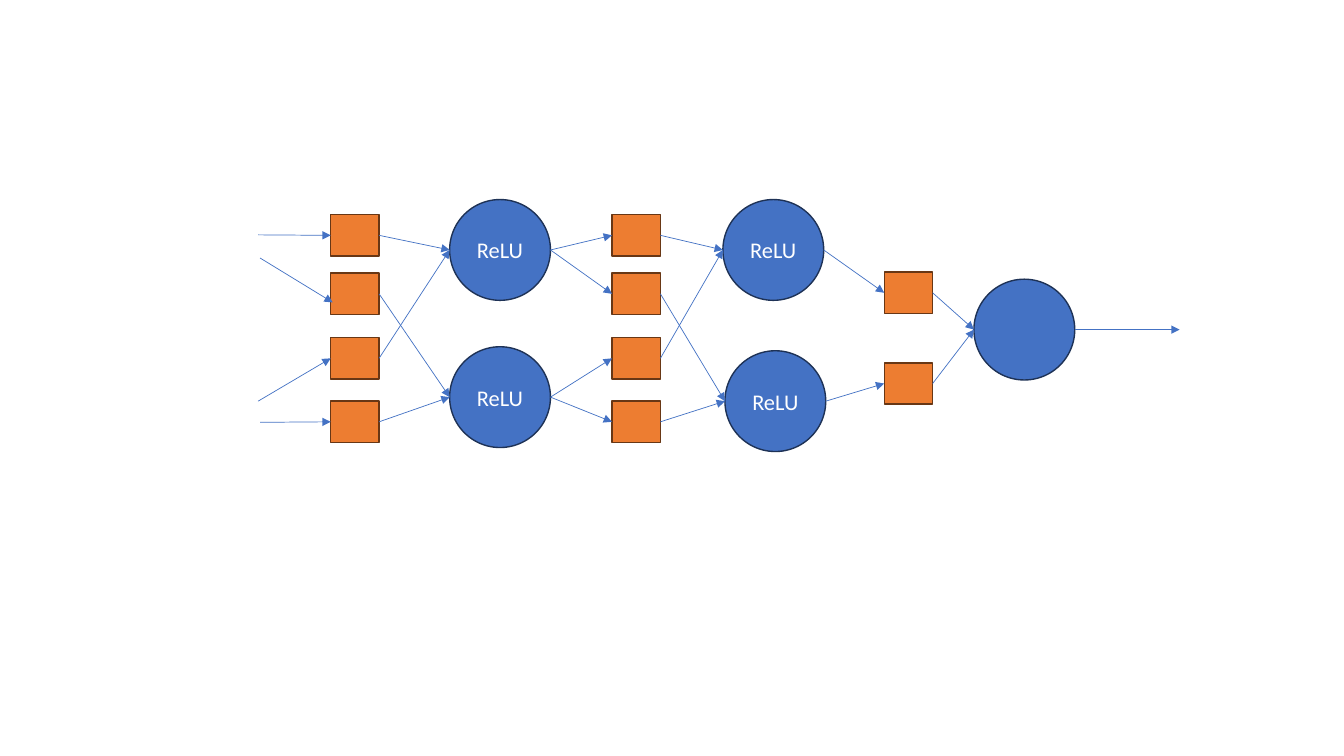
from dataclasses import dataclass

import pptx
import pptx.dml.color
import pptx.enum.shapes
import pptx.enum.text
import pptx.oxml.ns
import pptx.slide
import pptx.util
from lxml import etree

COLS, ROWS = 1333, 750
CELL = pptx.util.Inches(0.01)
SHAPE = pptx.enum.shapes.MSO_SHAPE
Point = tuple[float, float]


@dataclass(frozen=True)
class Style:
    form: SHAPE
    wide: int
    high: int
    fill: str
    edge: str


UNIT = Style(SHAPE.OVAL, 100, 100, "4472C4", "1E3256")
WEIGHT = Style(SHAPE.RECTANGLE, 48, 41, "ED7D31", "683715")


@dataclass(frozen=True)
class Node:
    style: Style
    col: int
    row: int
    text: str = ""

    def entry(self) -> Point:
        return self.col, self.row + self.style.high / 2

    def exit(self) -> Point:
        return self.col + self.style.wide, self.row + self.style.high / 2


def span(cells: float) -> pptx.util.Emu:
    return pptx.util.Emu(round(cells * CELL))


def color(code: str) -> pptx.dml.color.RGBColor:
    return pptx.dml.color.RGBColor.from_string(code)


def draw_node(slide: pptx.slide.Slide, node: Node) -> None:
    style = node.style
    shape = slide.shapes.add_shape(
        style.form, span(node.col), span(node.row), span(style.wide), span(style.high))
    shape.shadow.inherit = False
    shape.fill.solid()
    shape.fill.fore_color.rgb = color(style.fill)
    shape.line.color.rgb = color(style.edge)
    shape.line.width = pptx.util.Pt(1)
    if node.text:
        frame = shape.text_frame
        frame.vertical_anchor = pptx.enum.text.MSO_ANCHOR.MIDDLE
        label = frame.paragraphs[0]
        label.text = node.text
        label.alignment = pptx.enum.text.PP_ALIGN.CENTER
        label.font.name = "Calibri"
        label.font.size = pptx.util.Pt(16)
        label.font.color.rgb = color("FFFFFF")


def draw_arrow(slide: pptx.slide.Slide, start: Point, end: Point) -> None:
    arrow = slide.shapes.add_connector(
        pptx.enum.shapes.MSO_CONNECTOR.STRAIGHT, *map(span, start + end))
    arrow.line.color.rgb = color("4472C4")
    arrow.line.width = pptx.util.Pt(0.5)
    tag = pptx.oxml.ns.qn
    etree.SubElement(arrow.line._get_or_add_ln(), tag("a:tailEnd"), type="triangle")
    etree.SubElement(arrow._element.spPr, tag("a:effectLst"))


def main() -> None:
    deck = pptx.Presentation()
    deck.slide_width, deck.slide_height = span(COLS), span(ROWS)
    slide = deck.slides.add_slide(deck.slide_layouts[6])

    tops = 213, 271, 335, 398
    first = [Node(WEIGHT, 328, top) for top in tops]
    second = [Node(WEIGHT, 607, top) for top in tops]
    third = [Node(WEIGHT, 877, top) for top in (270, 360)]
    front = [Node(UNIT, 446, top, "ReLU") for top in (198, 344)]
    back = [Node(UNIT, 717, 198, "ReLU"), Node(UNIT, 719, 348, "ReLU")]
    final = Node(UNIT, 966, 277)

    links = [(box, front[k % 2]) for k, box in enumerate(first)]
    links += [(front[k // 2], box) for k, box in enumerate(second)]
    links += [(box, back[k % 2]) for k, box in enumerate(second)]
    links += list(zip(back, third))
    links += [(box, final) for box in third]

    for node in first + front + second + back + third + [final]:
        draw_node(slide, node)
    for start, end in links:
        draw_arrow(slide, start.exit(), end.entry())

    inputs = (256, 233), (258, 256), (256, 398), (258, 419)
    goals = [box.entry() for box in first]
    goals[1] = 330, 300
    for start, end in zip(inputs, goals):
        draw_arrow(slide, start, end)
    draw_arrow(slide, final.exit(), (1170, 327))

    deck.save("out.pptx")


if __name__ == "__main__":
    main()
